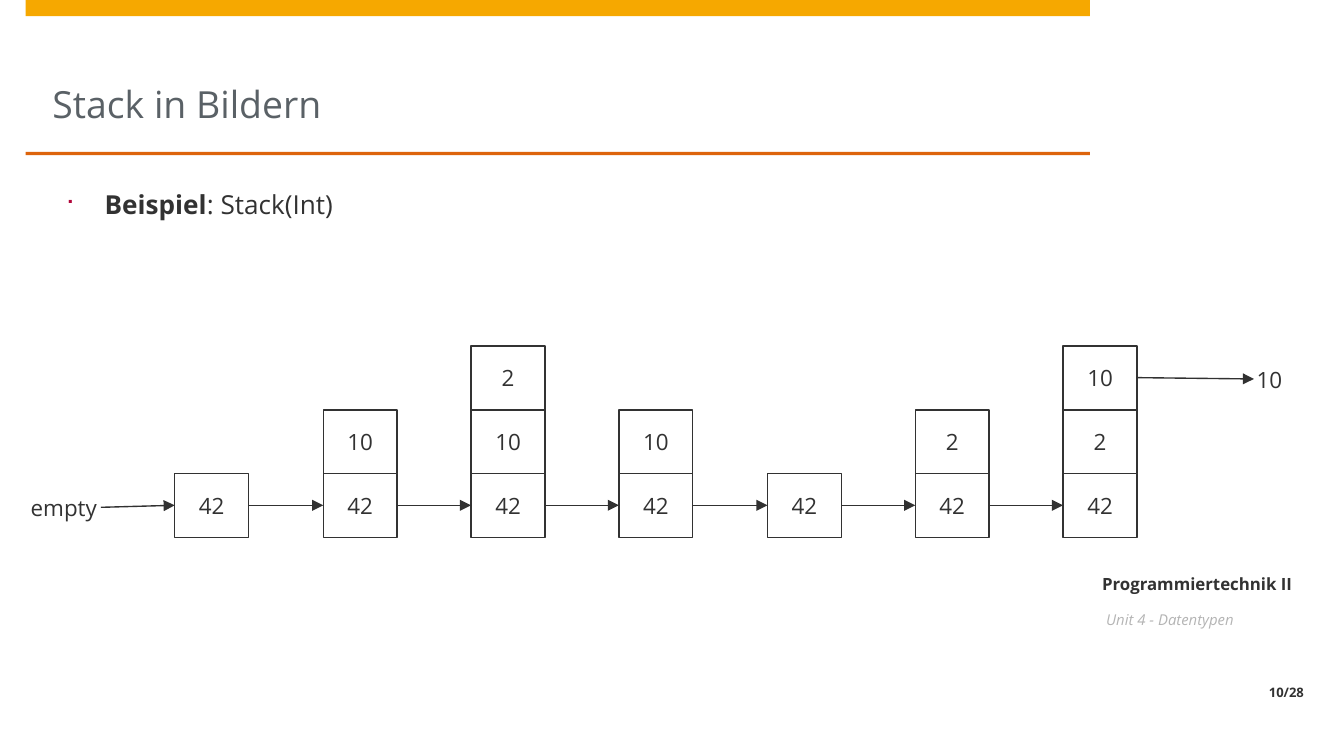
from lxml import etree
from pptx import Presentation
from pptx.dml.color import RGBColor
from pptx.enum.shapes import MSO_CONNECTOR, MSO_SHAPE
from pptx.enum.text import MSO_ANCHOR, PP_ALIGN
from pptx.oxml.ns import qn
from pptx.util import Pt

PX = 4572
FONT = "Open Sans"
DARK = "323232"
RECT = MSO_SHAPE.RECTANGLE
STRAIGHT = MSO_CONNECTOR.STRAIGHT
LEFT, CENTER, RIGHT = PP_ALIGN.LEFT, PP_ALIGN.CENTER, PP_ALIGN.RIGHT
TOP, MIDDLE, BOTTOM = MSO_ANCHOR.TOP, MSO_ANCHOR.MIDDLE, MSO_ANCHOR.BOTTOM

CELL_W, CELL_H, PITCH = 110, 95, 220.3
STACKS = [
    ["42"],
    ["42", "10"],
    ["42", "10", "2"],
    ["42", "10"],
    ["42"],
    ["42", "2"],
    ["42", "2", "10"],
]


def px(*values):
    return [v * PX for v in values]


def color(value):
    return RGBColor.from_string(value)


def style_run(r, size, fill):
    r.font.name = FONT
    r.font.size = Pt(size)
    r.font.color.rgb = color(fill)


def write(sp, text, size, fill=DARK, align=LEFT, anchor=TOP, insets=(0, 0, 0, 0)):
    tf = sp.text_frame
    tf.word_wrap = True
    tf.vertical_anchor = anchor
    tf.margin_left, tf.margin_top, tf.margin_right, tf.margin_bottom = px(*insets)
    tf.text = text
    p = tf.paragraphs[0]
    p.alignment = align
    style_run(p.runs[0], size, fill)
    return p


def add_text(s, box, text, size, **style):
    return write(s.shapes.add_textbox(*px(*box)), text, size, **style)


def add_bar(s, box, fill):
    sp = s.shapes.add_shape(RECT, *px(*box))
    sp.shadow.inherit = False
    sp.fill.solid()
    sp.fill.fore_color.rgb = color(fill)
    sp.line.fill.background()


def add_cell(s, x, y, text):
    sp = s.shapes.add_shape(RECT, *px(x, y, CELL_W, CELL_H))
    sp.shadow.inherit = False
    sp.fill.background()
    sp.line.color.rgb = color(DARK)
    sp.line.width = Pt(0.75)
    write(sp, text, 12, align=CENTER, anchor=MIDDLE)


def add_arrow(s, x1, y1, x2, y2):
    c = s.shapes.add_connector(STRAIGHT, *px(x1, y1, x2, y2))
    c.line.color.rgb = color("313131")
    c.line.width = Pt(0.75)
    ln = c._element.spPr.find(qn("a:ln"))
    etree.SubElement(ln, qn("a:tailEnd"), type="triangle")
    etree.SubElement(c._element.spPr, qn("a:effectLst"))


def add_bullet(p, char, fill, percent, indent):
    pPr = p._p.get_or_add_pPr()
    pPr.set("marL", str(indent * PX))
    pPr.set("indent", str(-indent * PX))
    clr = etree.SubElement(pPr, qn("a:buClr"))
    etree.SubElement(clr, qn("a:srgbClr"), val=fill)
    etree.SubElement(pPr, qn("a:buSzPct"), val=str(percent * 1000))
    etree.SubElement(pPr, qn("a:buFont"), typeface="Wingdings")
    etree.SubElement(pPr, qn("a:buChar"), char=char)


def add_header(s, x, y, w, h):
    add_bar(s, (x, y, w, 24), "F6A800")
    add_bar(s, (x, y + h, w, 5), "DD640C")
    add_text(s, (x + 40, y + 24, w - 80, h - 23), "Stack in Bildern", 20,
             fill="5A6166", anchor=BOTTOM, insets=(0, 0, 0, 40))


def add_body(s, x, y, w, h):
    p = add_text(s, (x, y, w, h), "Beispiel", 14, insets=(20, 10, 20, 10))
    add_bullet(p, "■", "B1063A", 80, 58)
    p.runs[0].font.bold = True
    r = p.add_run()
    r.text = ": Stack(Int)"
    style_run(r, 14, DARK)


def add_stacks(s, x, y, w, h):
    base = y + h - CELL_H
    mid = base + CELL_H // 2
    add_text(s, (x, base + 3, CELL_W, CELL_H), "empty", 12,
             align=CENTER, anchor=MIDDLE)
    for i, stack in enumerate(STACKS):
        left = x + round((i + 1) * PITCH)
        for level, value in enumerate(stack):
            add_cell(s, left, base - level * CELL_H, value)
        start = x + round(i * PITCH) + CELL_W
        add_arrow(s, start, mid if i else mid + 3, left, mid)
    result = x + w - CELL_W
    add_text(s, (result, y + 2, CELL_W, CELL_H), "10", 12,
             align=CENTER, anchor=MIDDLE)
    add_arrow(s, left + CELL_W, y + CELL_H // 2, result + 32, y + CELL_H // 2 + 2)


def add_footer(s, x, y, w):
    p = add_text(s, (x, y, w, 114), "Programmiertechnik II", 9,
                 align=CENTER, anchor=BOTTOM, insets=(0, 0, 20, 10))
    p.runs[0].font.bold = True
    p = add_text(s, (x, y + 129, w, 104), "Unit 4 - Datentypen", 8,
                 fill="B4B4B4", insets=(24, 0, 20, 10))
    p.runs[0].font.italic = True
    p = add_text(s, (x, y + 231, w, 40), "10/28", 7,
                 align=RIGHT, anchor=BOTTOM, insets=(24, 0, 20, 10))
    p.runs[0].font.bold = True


def main():
    prs = Presentation()
    prs.slide_width, prs.slide_height = px(2000, 1125)
    s = prs.slides.add_slide(prs.slide_layouts[6])
    add_header(s, 38, 0, 1584, 226)
    add_footer(s, 1622, 780, 338)
    add_body(s, 78, 271, 1504, 96)
    add_stacks(s, 40, 515, 1904, 285)
    prs.save("out.pptx")


if __name__ == "__main__":
    main()
